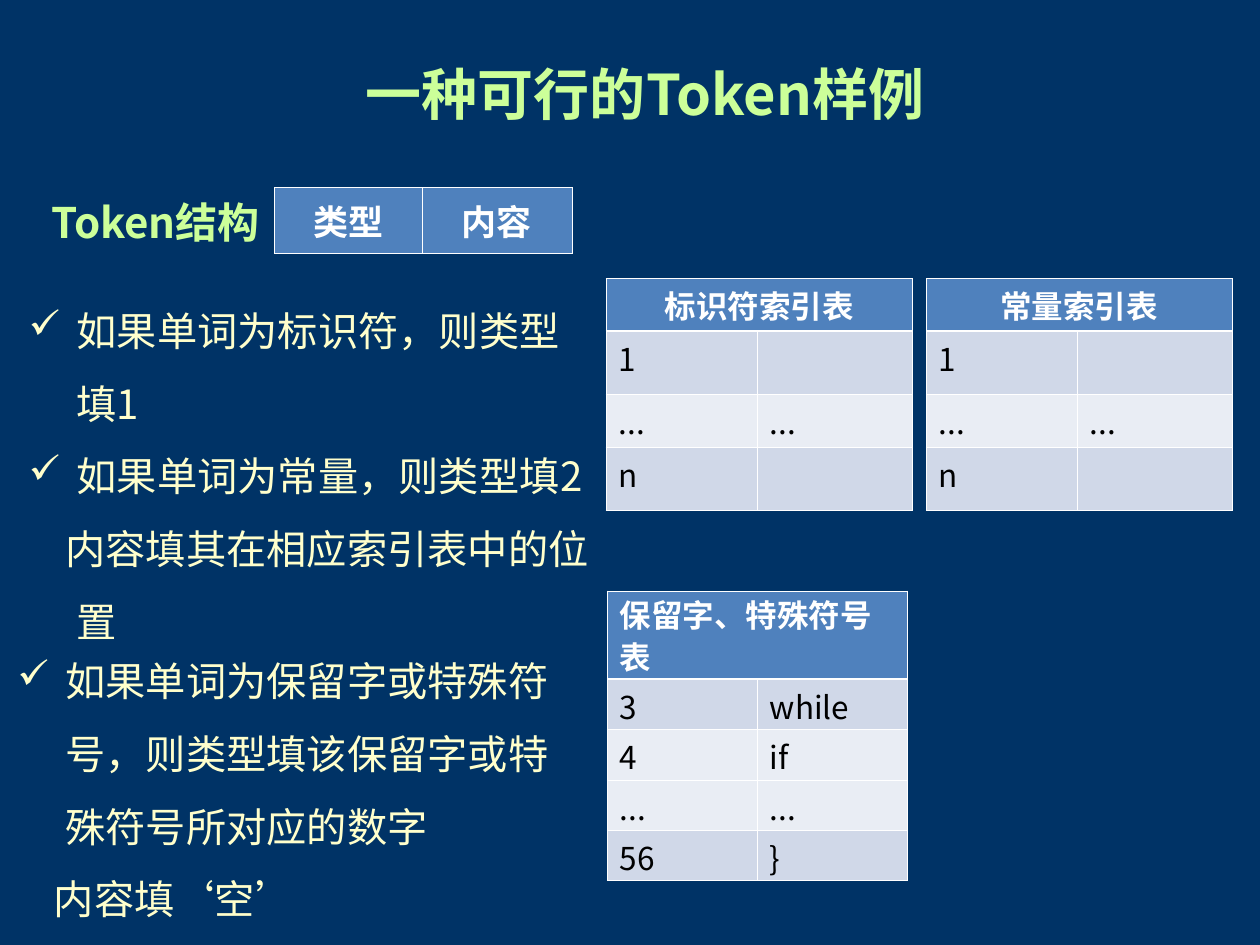
from dataclasses import dataclass
from typing import Optional

from lxml import etree
from pptx import Presentation
from pptx.dml.color import RGBColor
from pptx.enum import text as t
from pptx.oxml import ns
from pptx.util import Inches, Pt

FONT = "Noto Sans CJK SC"
NAVY = RGBColor(0x00, 0x33, 0x66)
LIME = RGBColor(0xCC, 0xFF, 0x99)
CREAM = RGBColor(0xFF, 0xFF, 0xCC)
WHITE = RGBColor(0xFF, 0xFF, 0xFF)
BLACK = RGBColor(0x00, 0x00, 0x00)
BLUE = RGBColor(0x4F, 0x81, 0xBD)
DARK_BAND = RGBColor(0xD0, 0xD8, 0xE8)
LIGHT_BAND = RGBColor(0xE9, 0xED, 0xF4)

THIN, THICK = 0.45, 1.47
BULLET_INDENT = -0.38
CONTINUED_INDENT = -0.09


@dataclass
class IndexTable:
    left: float
    top: float
    columns: list[float]
    heights: list[float]
    heading: str
    heading_align: t.PP_ALIGN
    entries: list[tuple[str, str]]
    bands: list[RGBColor]


@dataclass
class RuleBox:
    left: float
    top: float
    height: float
    rules: list[tuple[str, bool]]  # wording, has a tick


INDEX_BANDS = [DARK_BAND, LIGHT_BAND, DARK_BAND]
INDEX_ENTRIES = [("1", ""), ("...", "..."), ("n", "")]
INDEX_TABLES = [
    IndexTable(left, top, [1.2, 1.23], [0.42, 0.5, 0.42, 0.5], heading,
               t.PP_ALIGN.CENTER, INDEX_ENTRIES, INDEX_BANDS)
    for left, top, heading in [(4.81, 2.21, "标识符索引表"), (7.35, 2.21, "常量索引表")]
] + [
    IndexTable(4.82, 4.69, [1.19, 1.19], [0.7] + [0.4] * 4, "保留字、特殊符号表",
               t.PP_ALIGN.LEFT,
               [("3", "while"), ("4", "if"), ("...", "..."), ("56", "}")],
               [DARK_BAND, LIGHT_BAND, LIGHT_BAND, DARK_BAND]),
]

RULE_BOXES = [
    RuleBox(0.13, 2.19, 2.97, [
        ("如果单词为标识符，则类型填1", True),
        ("如果单词为常量，则类型填2", True),
        ("内容填其在相应索引表中的位置", False),
    ]),
    RuleBox(0.04, 4.97, 2.4, [
        ("如果单词为保留字或特殊符号，则类型填该保留字或特殊符号所对应的数字", True),
        ("内容填‘空’", False),
    ]),
]


def write(paragraph, wording: str, *, size: float, color: RGBColor, bold: bool = False,
          align: t.PP_ALIGN = t.PP_ALIGN.LEFT, line: Optional[float] = None) -> None:
    """Add one formatted run; line is the line pitch in points."""
    paragraph.alignment = align
    if line:
        paragraph.line_spacing = Pt(line)
    run = paragraph.add_run()
    run.text = wording
    font = run.font
    font.size, font.bold, font.name = Pt(size), bold, FONT
    font.color.rgb = color
    east_asian = etree.SubElement(run._r.get_or_add_rPr(), ns.qn("a:ea"))
    east_asian.set("typeface", FONT)


def set_bullet(paragraph, indent: float, tick: bool) -> None:
    properties = paragraph._p.get_or_add_pPr()
    properties.set("marL", str(Inches(0.38)))
    properties.set("indent", str(Inches(indent)))
    if not tick:
        etree.SubElement(properties, ns.qn("a:buNone"))
        return
    bullet_color = etree.SubElement(properties, ns.qn("a:buClr"))
    etree.SubElement(bullet_color, ns.qn("a:srgbClr")).set("val", str(CREAM))
    etree.SubElement(properties, ns.qn("a:buChar")).set("char", "✓")


def style_cell(cell, fill: RGBColor, top: float = THIN, bottom: float = THIN) -> None:
    """Fill a cell and give it white borders, with widths in points."""
    cell.fill.solid()
    cell.fill.fore_color.rgb = fill
    properties = cell._tc.get_or_add_tcPr()
    widths = {"lnL": THIN, "lnR": THIN, "lnT": top, "lnB": bottom}
    for position, (side, width) in enumerate(widths.items()):
        border = etree.Element(ns.qn(f"a:{side}"))
        border.set("w", str(Pt(width)))
        solid = etree.SubElement(border, ns.qn("a:solidFill"))
        etree.SubElement(solid, ns.qn("a:srgbClr")).set("val", str(WHITE))
        properties.insert(position, border)


def add_grid(slide, left: float, top: float, columns: list[float], heights: list[float]):
    table = slide.shapes.add_table(
        len(heights), len(columns), Inches(left), Inches(top),
        Inches(sum(columns)), Inches(sum(heights))).table
    for column, width in zip(table.columns, columns):
        column.width = Inches(width)
    for row, height in zip(table.rows, heights):
        row.height = Inches(height)
    return table


def add_index_table(slide, index: IndexTable) -> None:
    table = add_grid(slide, index.left, index.top, index.columns, index.heights)
    heading = table.cell(0, 0)
    heading.merge(table.cell(0, 1))
    for cell in table.iter_cells():
        cell.margin_top, cell.margin_bottom = Inches(0.03), 0
    for column in range(2):
        style_cell(table.cell(0, column), BLUE, bottom=THICK)
    heading.vertical_anchor = t.MSO_ANCHOR.MIDDLE
    write(heading.text_frame.paragraphs[0], index.heading, size=18, color=WHITE,
          bold=True, align=index.heading_align, line=24)
    for row, (entry, band) in enumerate(zip(index.entries, index.bands), start=1):
        for column, wording in enumerate(entry):
            cell = table.cell(row, column)
            style_cell(cell, band, top=THICK if row == 1 else THIN)
            if wording:
                write(cell.text_frame.paragraphs[0], wording, size=18, color=BLACK, line=26)


def add_structure_table(slide) -> None:
    table = add_grid(slide, 2.18, 1.49, [1.17, 1.19], [0.52])
    for cell, wording in zip(table.iter_cells(), ["类型", "内容"]):
        style_cell(cell, BLUE)
        cell.vertical_anchor = t.MSO_ANCHOR.MIDDLE
        write(cell.text_frame.paragraphs[0], wording, size=20, color=WHITE,
              bold=True, align=t.PP_ALIGN.CENTER)


def add_frame(slide, left: float, top: float, width: float, height: float):
    frame = slide.shapes.add_textbox(
        Inches(left), Inches(top), Inches(width), Inches(height)).text_frame
    frame.word_wrap = True
    return frame


def add_rules(slide, box: RuleBox) -> None:
    frame = add_frame(slide, box.left, box.top, 4.73, box.height)
    for number, (wording, tick) in enumerate(box.rules):
        paragraph = frame.add_paragraph() if number else frame.paragraphs[0]
        write(paragraph, wording, size=23, color=CREAM, line=41.5)
        set_bullet(paragraph, BULLET_INDENT if tick else CONTINUED_INDENT, tick)


def add_title(slide) -> None:
    title = slide.shapes.title
    title.left, title.top = Inches(0.59), Inches(0.4)
    title.width, title.height = Inches(9.06), Inches(0.64)
    frame = title.text_frame
    frame.word_wrap = True
    frame.auto_size = t.MSO_AUTO_SIZE.NONE
    frame.vertical_anchor = t.MSO_ANCHOR.TOP
    write(frame.paragraphs[0], "一种可行的Token样例", size=32, color=LIME, bold=True,
          align=t.PP_ALIGN.CENTER, line=40)


def main() -> None:
    deck = Presentation()
    deck.slide_width, deck.slide_height = Inches(10), Inches(7.5)
    slide = deck.slides.add_slide(deck.slide_layouts[5])
    slide.background.fill.solid()
    slide.background.fill.fore_color.rgb = NAVY

    add_title(slide)
    for index in INDEX_TABLES:
        add_index_table(slide, index)
    label = add_frame(slide, 0.31, 1.51, 1.9, 0.9)
    write(label.paragraphs[0], "Token结构", size=24, color=LIME, bold=True, line=29)
    add_structure_table(slide)
    for box in RULE_BOXES:
        add_rules(slide, box)
    deck.save("out.pptx")


if __name__ == "__main__":
    main()
